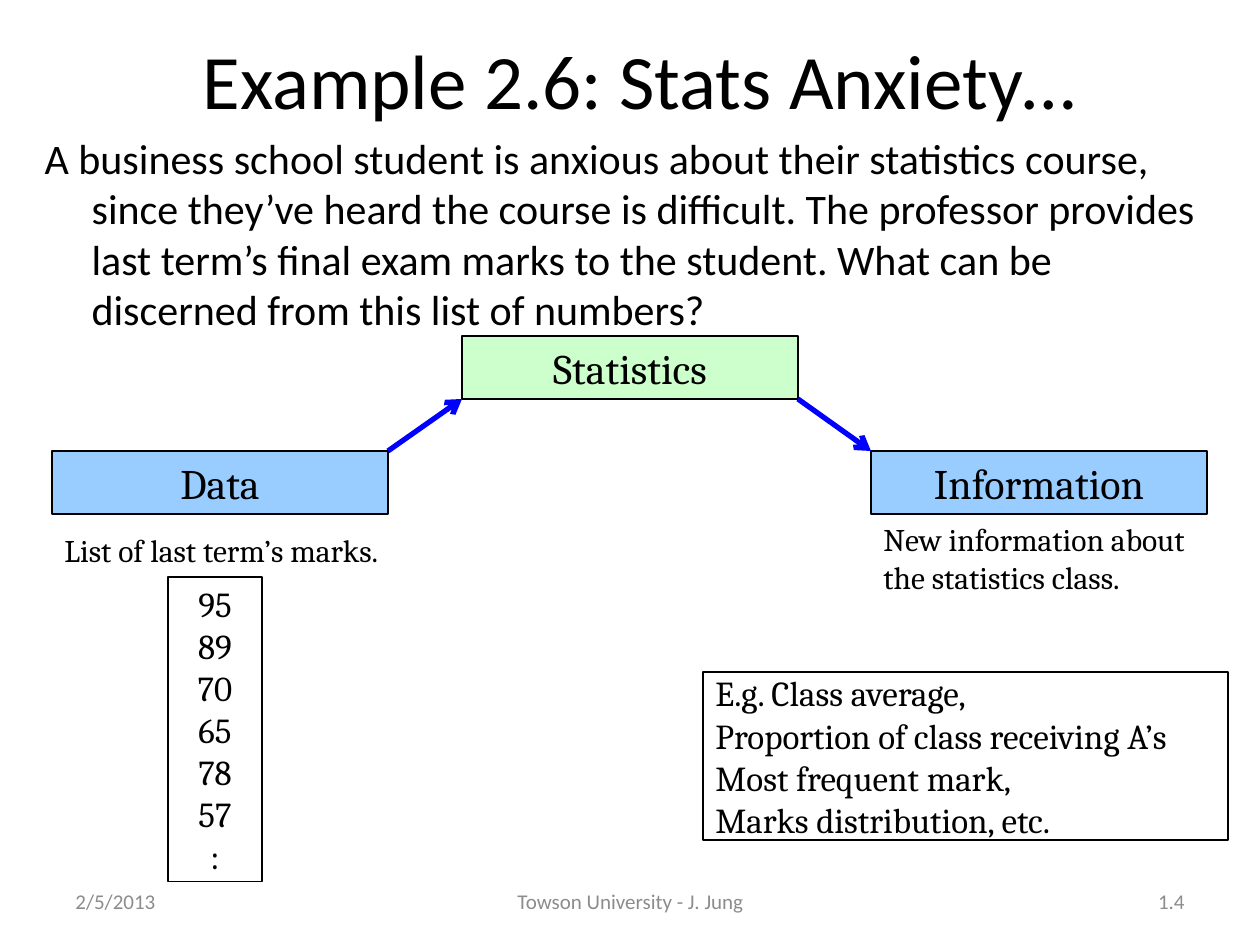
"""Build the statistics anxiety example slide."""
from lxml import etree
from pptx import Presentation
from pptx.dml.color import RGBColor
from pptx.enum.shapes import MSO_CONNECTOR, MSO_SHAPE
from pptx.enum.text import MSO_ANCHOR, MSO_AUTO_SIZE, PP_ALIGN
from pptx.oxml.ns import qn
from pptx.util import Pt

PX = 914400 // 126
BLACK = RGBColor(0, 0, 0)
WHITE = RGBColor(0xFF, 0xFF, 0xFF)
GRAY = RGBColor(0x8C, 0x8C, 0x8C)
SKY = RGBColor(0x99, 0xCC, 0xFF)
MINT = RGBColor(0xCC, 0xFF, 0xCC)
BLUE = RGBColor(0, 0, 0xFF)
LEFT, CENTER, RIGHT = PP_ALIGN.LEFT, PP_ALIGN.CENTER, PP_ALIGN.RIGHT


def emu(*pixels):
    return [value * PX for value in pixels]


def write(shape, lines, size, font, color=BLACK, align=LEFT,
          anchor=MSO_ANCHOR.MIDDLE, wrap=True, before=0):
    frame = shape.text_frame
    frame.auto_size = MSO_AUTO_SIZE.NONE
    frame.word_wrap = wrap
    frame.vertical_anchor = anchor
    frame.text = "\n".join(lines)
    for paragraph in frame.paragraphs:
        paragraph.alignment = align
        paragraph.space_before = Pt(before)
        for run in paragraph.runs:
            run.font.size = Pt(size)
            run.font.name = font
            run.font.color.rgb = color


def fill_placeholder(shape, box, text, size, **style):
    shape.left, shape.top, shape.width, shape.height = emu(*box)
    write(shape, [text], size, "Calibri", **style)


def hang_without_bullet(shape, indent):
    properties = shape.text_frame.paragraphs[0]._p.get_or_add_pPr()
    properties.set("marL", str(indent * PX))
    properties.set("indent", str(-indent * PX))
    etree.SubElement(properties, qn("a:buNone"))


def add_label(slide, box, text, size, font, **style):
    write(slide.shapes.add_textbox(*emu(*box)), [text], size, font, **style)


def add_box(slide, box, lines, size, fill, **style):
    shape = slide.shapes.add_shape(MSO_SHAPE.RECTANGLE, *emu(*box))
    shape.shadow.inherit = False
    shape.fill.solid()
    shape.fill.fore_color.rgb = fill
    shape.line.color.rgb = BLACK
    shape.line.width = Pt(0.75)
    write(shape, lines, size, "Cambria", **style)


def add_arrow(slide, *ends):
    arrow = slide.shapes.add_connector(MSO_CONNECTOR.STRAIGHT, *emu(*ends))
    arrow.line.color.rgb = BLUE
    arrow.line.width = Pt(3)
    etree.SubElement(arrow.line._get_or_add_ln(), qn("a:tailEnd"), type="arrow")
    etree.SubElement(arrow._element.spPr, qn("a:effectLst"))


def main():
    deck = Presentation()
    deck.slide_width, deck.slide_height = emu(1260, 945)
    slide = deck.slides.add_slide(deck.slide_layouts[1])
    title, body = slide.placeholders

    fill_placeholder(title, (73, 0, 1134, 158), "Example 2.6: Stats Anxiety…",
                     44, align=CENTER)
    fill_placeholder(
        body, (32, 126, 1207, 756),
        "A business school student is anxious about their statistics course, "
        "since they’ve heard the course is difficult. The professor provides "
        "last term’s final exam marks to the student. What can be discerned "
        "from this list of numbers?",
        24, anchor=MSO_ANCHOR.TOP, before=4.8)
    hang_without_bullet(body, 47)

    for left, width, text, align in (
            (63, 294, "2/5/2013", LEFT),
            (431, 399, "Towson University - J. Jung", CENTER),
            (903, 294, "1.4", RIGHT)):
        add_label(slide, (left, 876, width, 50), text, 12, "Calibri",
                  color=GRAY, align=align)

    for left, top, text, fill in ((52, 451, "Data", SKY),
                                  (462, 336, "Statistics", MINT),
                                  (871, 451, "Information", SKY)):
        add_box(slide, (left, top, 336, 63), [text], 24, fill, align=CENTER)
    add_arrow(slide, 388, 451, 462, 399)
    add_arrow(slide, 798, 399, 871, 451)

    for box, text in (
            ((52, 525, 357, 50), "List of last term’s marks."),
            ((871, 514, 357, 88), "New information about the statistics class.")):
        add_label(slide, box, text, 18, "Cambria", before=9)

    add_box(slide, (168, 577, 94, 305),
            ["95", "89", "70", "65", "78", "57", ":"], 20, WHITE,
            align=CENTER, wrap=False)
    add_box(slide, (703, 672, 525, 168),
            ["E.g. Class average,", "Proportion of class receiving A’s",
             "Most frequent mark,", "Marks distribution, etc."], 20, WHITE,
            wrap=False)
    deck.save("out.pptx")


main()
